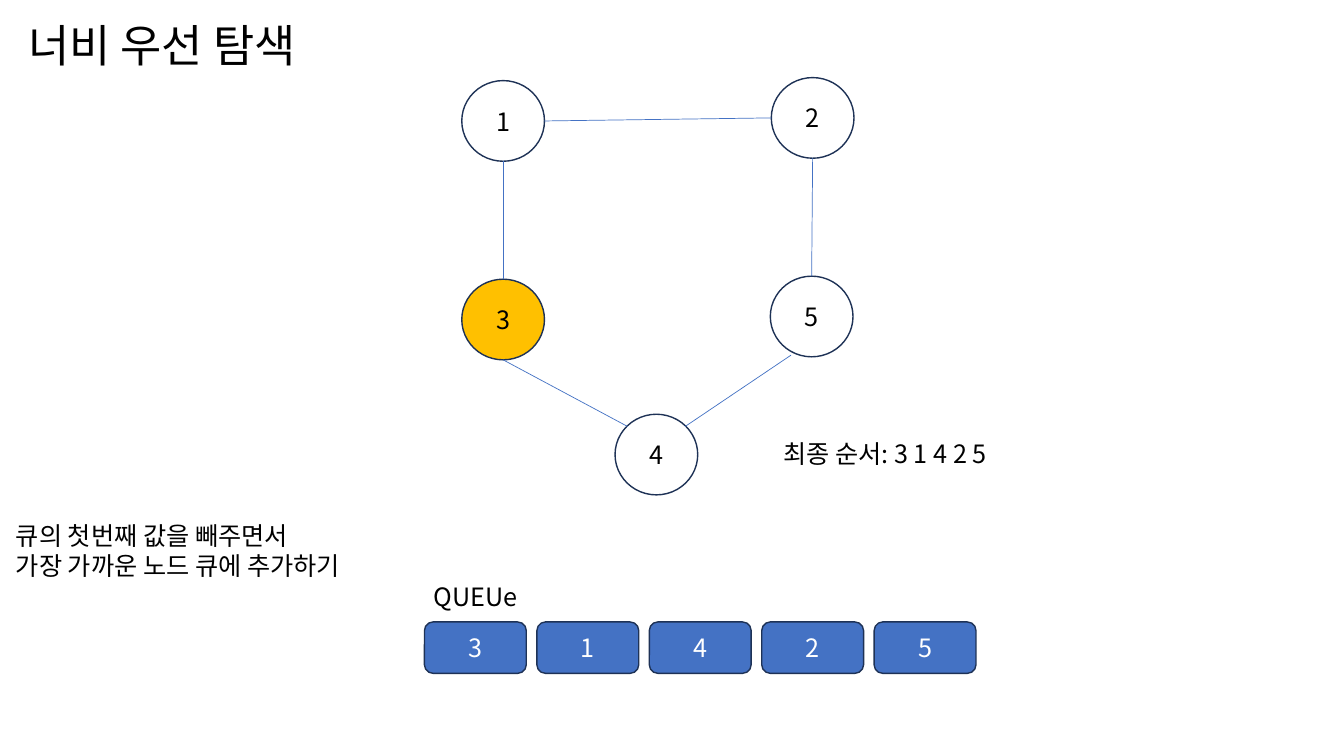
from lxml.etree import SubElement
from pptx import Presentation
from pptx.dml.color import RGBColor
from pptx.enum.shapes import MSO_CONNECTOR, MSO_SHAPE
from pptx.enum.text import MSO_ANCHOR, MSO_AUTO_SIZE, PP_ALIGN
from pptx.oxml.ns import qn
from pptx.util import Emu, Pt

FONT = "Noto Sans CJK KR"
BLACK = RGBColor(0x00, 0x00, 0x00)
WHITE = RGBColor(0xFF, 0xFF, 0xFF)
BLUE = RGBColor(0x44, 0x72, 0xC4)
NAVY = RGBColor(0x1E, 0x32, 0x56)
GOLD = RGBColor(0xFF, 0xC0, 0x00)

NODE_W, NODE_H = 82, 80
CELL_W = 101
NODES = {
    "1": (0, 3, None),
    "2": (307, 0, WHITE),
    "3": (0, 200, GOLD),
    "4": (152, 334, None),
    "5": (306, 197, None),
}
TOP, LEFT, RIGHT, BOTTOM = (0.5, 0), (0, 0.5), (1, 0.5), (0.5, 1)
EDGES = [
    ("3", TOP, "1", BOTTOM),
    ("3", BOTTOM, "4", (0.15, 0.15)),
    ("1", RIGHT, "2", LEFT),
    ("2", BOTTOM, "5", TOP),
    ("5", (0.25, 0.98), "4", (0.85, 0.15)),
]


def px(n):
    """Turn px, a hundred to the inch, into EMU."""
    return Emu(round(n * 9144))


def style(frame, size, color):
    """Format every run of a text frame."""
    for para in frame.paragraphs:
        for run in para.runs:
            run.font.size = Pt(size)
            run.font.name = FONT
            run.font.color.rgb = color
            SubElement(run.font._element, qn("a:ea"), typeface=FONT)


def add_text(slide, box, text, size=18):
    """Add a left-aligned text box."""
    frame = slide.shapes.add_textbox(*map(px, box)).text_frame
    frame.word_wrap = True
    frame.auto_size = MSO_AUTO_SIZE.SHAPE_TO_FIT_TEXT
    frame.text = text
    style(frame, size, BLACK)


def add_label(slide, kind, box, text, fill, color):
    """Add an outlined shape with centred text."""
    shape = slide.shapes.add_shape(kind, *map(px, box))
    shape.shadow.inherit = False
    if fill is None:
        shape.fill.background()
    else:
        shape.fill.solid()
        shape.fill.fore_color.rgb = fill
    shape.line.color.rgb = NAVY
    shape.line.width = Pt(1)
    frame = shape.text_frame
    frame.text = text
    frame.vertical_anchor = MSO_ANCHOR.MIDDLE
    frame.paragraphs[0].alignment = PP_ALIGN.CENTER
    style(frame, 18, color)


def add_edge(slide, start, end):
    """Add a thin straight line between two points."""
    edge = slide.shapes.add_connector(
        MSO_CONNECTOR.STRAIGHT, *map(px, start + end))
    edge.line.color.rgb = BLUE
    edge.line.width = Pt(0.5)
    SubElement(edge._element.spPr, qn("a:effectLst"))


def add_graph(slide, left, top):
    """Draw the nodes and the edges that join them."""
    def port(name, spot):
        """Find a point on a node from fractions of its size."""
        x, y, _ = NODES[name]
        return left + x + spot[0] * NODE_W, top + y + spot[1] * NODE_H

    for name, (x, y, fill) in NODES.items():
        box = (left + x, top + y, NODE_W, NODE_H)
        add_label(slide, MSO_SHAPE.OVAL, box, name, fill, BLACK)
    for first, out, last, into in EDGES:
        add_edge(slide, port(first, out), port(last, into))


def add_queue(slide, left, top, width, height, items):
    """Draw the queue heading and its evenly spaced cells."""
    add_text(slide, (left - 1, top - 45, 159, 40), "QUEUe")
    step = (width - CELL_W) / (len(items) - 1)
    for i, item in enumerate(items):
        box = (left + i * step, top, CELL_W, height)
        add_label(slide, MSO_SHAPE.ROUNDED_RECTANGLE, box, item, BLUE, WHITE)


def main():
    """Build the slide and save it."""
    deck = Presentation()
    deck.slide_width, deck.slide_height = px(1333), px(750)
    slide = deck.slides.add_slide(deck.slide_layouts[6])
    add_text(slide, (18, 13, 389, 64), "너비 우선 탐색", 32)
    add_graph(slide, 458, 77)
    add_text(slide, (6, 511, 413, 71),
             "큐의 첫번째 값을 빼주면서\n가장 가까운 노드 큐에 추가하기")
    add_queue(slide, 421, 617, 547, 51, "31425")
    add_text(slide, (767, 430, 360, 40), "최종 순서: 3 1 4 2 5")
    deck.save("out.pptx")


if __name__ == "__main__":
    main()
